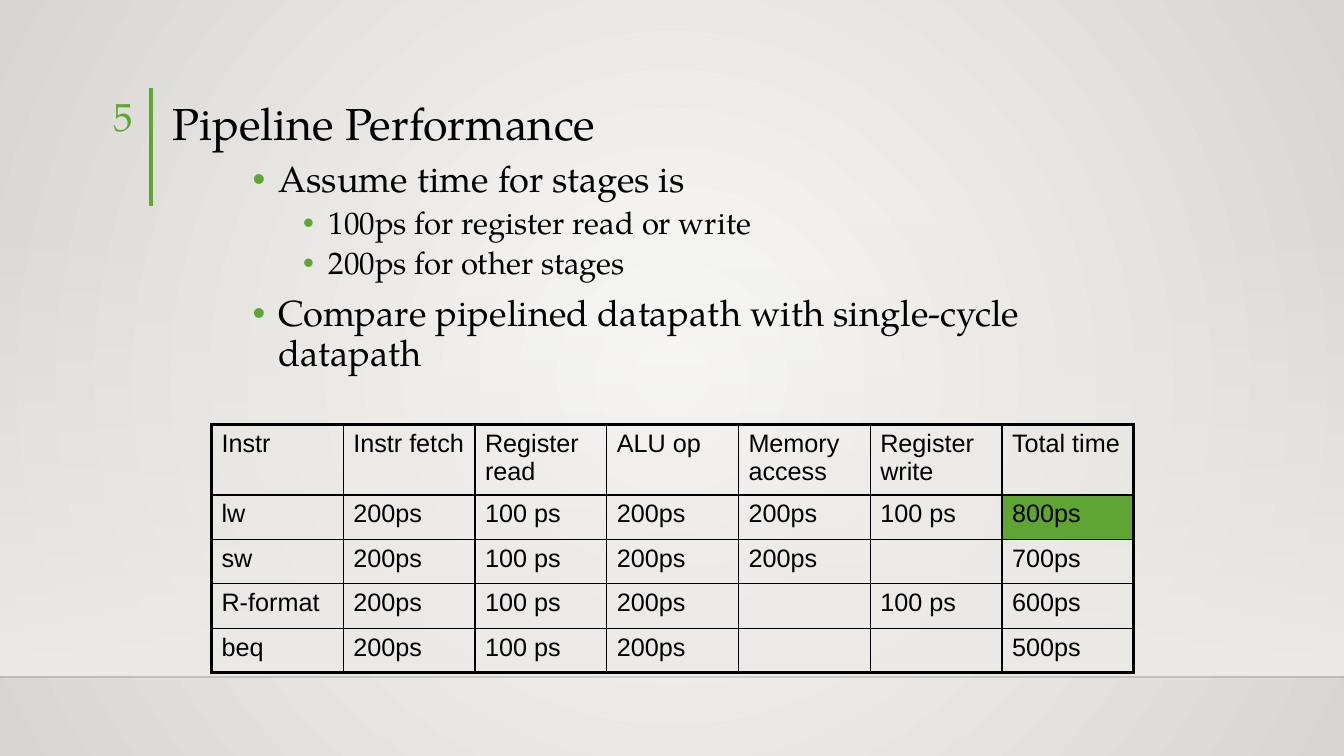
from lxml import etree
from pptx import Presentation
from pptx.dml.color import RGBColor
from pptx.enum.shapes import MSO_CONNECTOR, MSO_SHAPE
from pptx.enum.text import MSO_ANCHOR, PP_ALIGN
from pptx.oxml.ns import qn
from pptx.util import Cm, Pt

LINE = MSO_CONNECTOR.STRAIGHT
RECTANGLE = MSO_SHAPE.RECTANGLE
TOP, BOTTOM = MSO_ANCHOR.TOP, MSO_ANCHOR.BOTTOM
LEFT, RIGHT = PP_ALIGN.LEFT, PP_ALIGN.RIGHT

COLORS = {"text": "000000", "accent": "5FA534", "center": "FAFAF9",
          "edge": "D7D5D2", "band": "EDEBE7", "floor": "000001"}
WIDTH, HEIGHT = 33.87, 19.05

# (level, text)
BULLETS = [
    (0, "Assume time for stages is"),
    (1, "100ps for register read or write"),
    (1, "200ps for other stages"),
    (0, "Compare pipelined datapath with single-cycle datapath"),
]
# level: (size, space before, text indent in cm)
LEVELS = {0: (25.9, 10, 0.64), 1: (22.2, 5, 1.91)}

TIMES = [
    ["Instr", "Instr fetch", "Register read", "ALU op",
     "Memory access", "Register write", "Total time"],
    ["lw", "200ps", "100 ps", "200ps", "200ps", "100 ps", "800ps"],
    ["sw", "200ps", "100 ps", "200ps", "200ps", "", "700ps"],
    ["R-format", "200ps", "100 ps", "200ps", "", "100 ps", "600ps"],
    ["beq", "200ps", "100 ps", "200ps", "", "", "500ps"],
]
HIGHLIGHT = (1, 6)


def rgb(name):
    return RGBColor.from_string(COLORS[name])


def add_alpha(element, color, percent):
    """Give the colour inside an element an opacity."""
    for node in element.iter(qn("a:srgbClr")):
        if node.get("val") == COLORS[color]:
            etree.SubElement(node, qn("a:alpha"), val=str(percent * 1000))
            return


class SlideWriter:
    serif = "TeX Gyre Pagella"
    sans = "Arial"

    def __init__(self, page):
        self.page = page

    def gradient(self, fill, first, last):
        fill.gradient()
        for stop, name, position in zip(fill.gradient_stops, (first, last), (0, 1)):
            stop.color.rgb = rgb(name)
            stop.position = position

    def background(self, center, edge):
        self.gradient(self.page.background.fill, center, edge)
        grad = next(self.page.element.iter(qn("a:gradFill")))
        grad.remove(grad.find(qn("a:lin")))
        circle = etree.SubElement(grad, qn("a:path"), path="circle")
        etree.SubElement(circle, qn("a:fillToRect"),
                         **dict.fromkeys("ltrb", "50000"))

    def fading_band(self, left, top, width, height, color):
        band = self.page.shapes.add_shape(
            RECTANGLE, Cm(left), Cm(top), Cm(width), Cm(height))
        band.shadow.inherit = False
        band.line.fill.background()
        self.gradient(band.fill, color, color)
        band.fill.gradient_angle = 270
        add_alpha(band.element.spPr, color, 0)

    def line(self, x1, y1, x2, y2, color, width, opacity=100):
        line = self.page.shapes.add_connector(LINE, Cm(x1), Cm(y1), Cm(x2), Cm(y2))
        line.line.color.rgb = rgb(color)
        line.line.width = Pt(width)
        if opacity < 100:
            add_alpha(line.element.spPr, color, opacity)
        etree.SubElement(line.element.spPr, qn("a:effectLst"))

    def span(self, para, text, size, color="text", font=serif):
        span = para.add_run()
        span.text = text
        span.font.size = Pt(size)
        span.font.name = font
        span.font.color.rgb = rgb(color)

    def frame(self, left, top, width, height, anchor=TOP):
        box = self.page.shapes.add_textbox(Cm(left), Cm(top), Cm(width), Cm(height))
        box.text_frame.word_wrap = True
        box.text_frame.vertical_anchor = anchor
        return box.text_frame

    def label(self, place, text, size, color="text", anchor=TOP, align=LEFT, spacing=1.0):
        para = self.frame(*place, anchor).paragraphs[0]
        para.alignment = align
        para.line_spacing = spacing
        self.span(para, text, size, color)

    def bullets(self, place, items):
        frame = self.frame(*place)
        for index, (level, text) in enumerate(items):
            para = frame.add_paragraph() if index else frame.paragraphs[0]
            size, before, indent = LEVELS[level]
            para.level = level
            para.space_before = Pt(before)
            para.line_spacing = 0.9
            props = para._p.get_or_add_pPr()
            props.set("marL", str(Cm(indent)))
            props.set("indent", str(-Cm(0.64)))
            color = etree.SubElement(props, qn("a:buClr"))
            etree.SubElement(color, qn("a:srgbClr"), val=COLORS["accent"])
            etree.SubElement(props, qn("a:buFont"), typeface=self.sans)
            etree.SubElement(props, qn("a:buChar"), char="•")
            self.span(para, text, size)

    def borders(self, cell, widths):
        props = cell._tc.get_or_add_tcPr()
        for index, (side, width) in enumerate(zip("LRTB", widths)):
            edge = etree.Element(qn(f"a:ln{side}"), w=str(Pt(width)))
            fill = etree.SubElement(edge, qn("a:solidFill"))
            etree.SubElement(fill, qn("a:srgbClr"), val=COLORS["text"])
            props.insert(index, edge)

    def table(self, left, top, col_width, row_heights, rows, highlight):
        last_row, last_col = len(rows) - 1, len(rows[0]) - 1
        table = self.page.shapes.add_table(
            len(rows), len(rows[0]), Cm(left), Cm(top),
            Cm(col_width * len(rows[0])), Cm(sum(row_heights))).table
        table.first_row = table.horz_banding = False
        for column in table.columns:
            column.width = Cm(col_width)
        for r, (height, texts) in enumerate(zip(row_heights, rows)):
            table.rows[r].height = Cm(height)
            for c, text in enumerate(texts):
                cell = table.cell(r, c)
                if (r, c) == highlight:
                    cell.fill.solid()
                    cell.fill.fore_color.rgb = rgb("accent")
                else:
                    cell.fill.background()
                if text:
                    para = cell.text_frame.paragraphs[0]
                    para.space_before = Pt(3.6)
                    self.span(para, text, 18, font=self.sans)
                # Thick outside, medium under the header, thin elsewhere
                self.borders(cell, (
                    2.25 if c == 0 else 1,
                    2.25 if c == last_col else 1,
                    {0: 2.25, 1: 1.5}.get(r, 1),
                    {0: 1.5, last_row: 2.25}.get(r, 1)))


def main():
    deck = Presentation()
    deck.slide_width, deck.slide_height = Cm(WIDTH), Cm(HEIGHT)
    writer = SlideWriter(deck.slides.add_slide(deck.slide_layouts[6]))

    # Backdrop
    writer.background("center", "edge")
    writer.fading_band(0, 5.59, WIDTH, 11.43, "band")
    writer.line(0, 17.06, WIDTH, 17.06, "floor", 1, opacity=20)
    writer.line(3.81, 2.21, 3.81, 5.18, "accent", 3)

    # Heading and bullets
    writer.label((4.09, 1.78, 26.44, 2.13), "Pipeline Performance", 32,
                 anchor=BOTTOM, spacing=0.9)
    writer.bullets((6.12, 3.94, 22.99, 6.25), BULLETS)

    # Stage times
    writer.table(5.33, 10.69, 3.32, [1.78] + [1.12] * 4, TIMES, HIGHLIGHT)

    # Page number
    writer.label((1.35, 2.21, 2.26, 1.4), "5", 28, "accent", align=RIGHT)

    deck.save("out.pptx")


if __name__ == "__main__":
    main()
